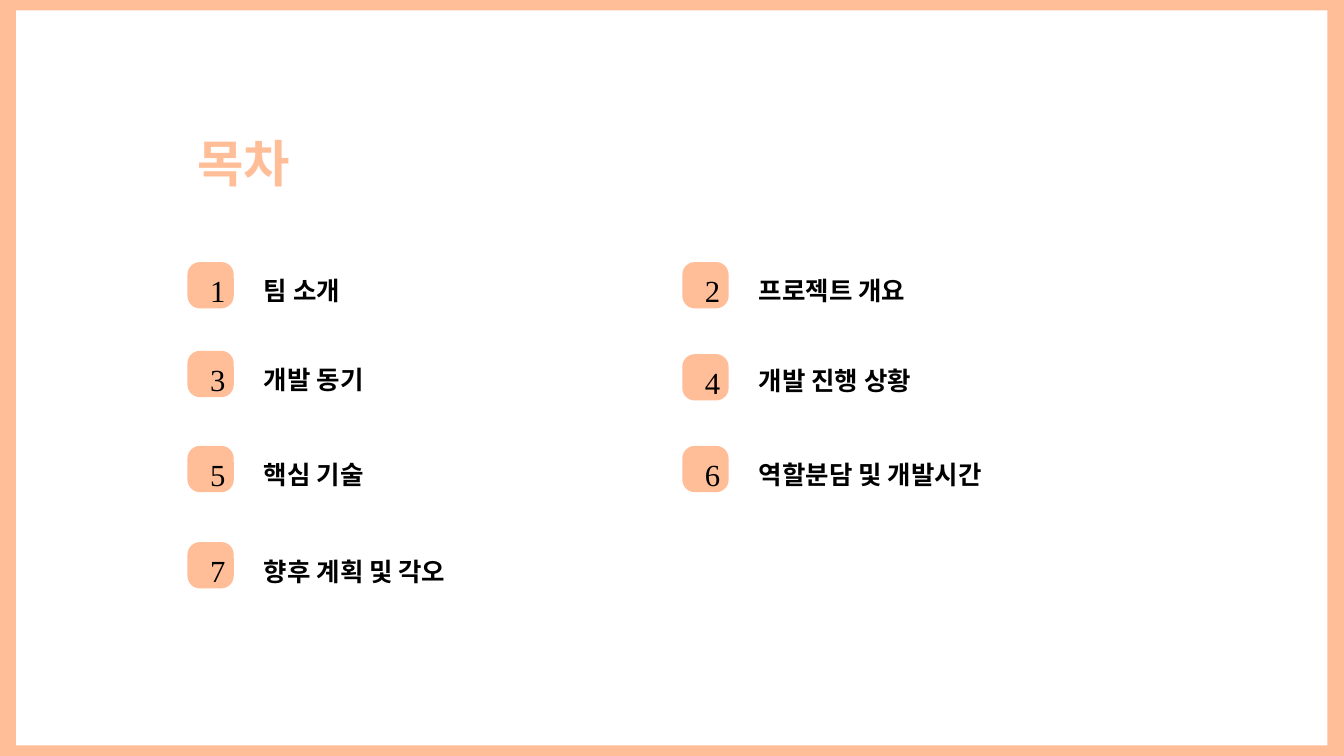
from pptx import Presentation
from pptx.dml.color import RGBColor
from pptx.enum.shapes import MSO_SHAPE
from pptx.enum.text import MSO_ANCHOR, PP_ALIGN
from pptx.util import Pt

PEACH = RGBColor(0xFF, 0xBE, 0x98)
WHITE = RGBColor(0xFF, 0xFF, 0xFF)
BLACK = RGBColor(0, 0, 0)
SANS = "Noto Sans CJK KR"
SERIF = "Times New Roman"

COLS = (133.9, 487.4)
SIDE = 33.1
ITEMS = [
    ("팀 소개", 187.2, 192.2),
    ("프로젝트 개요", 187.2, 192.2),
    ("개발 동기", 250.6, 255.6),
    ("개발 진행 상황", 253, 256.3),
    ("핵심 기술", 318.5, 323.3),
    ("역할분담 및 개발시간", 318.5, 323.3),
    ("향후 계획 및 각오", 387.2, 392.4),
]


def write(shape, text, size=18.2, face=SANS, color=BLACK, bold=True,
          line=22.8, align=PP_ALIGN.LEFT, top=3.6):
    frame = shape.text_frame
    frame.word_wrap = False
    frame.vertical_anchor = MSO_ANCHOR.TOP
    frame.margin_top = Pt(top)
    para = frame.paragraphs[0]
    para.alignment = align
    para.line_spacing = Pt(line)
    run = para.add_run()
    run.text = text
    font = run.font
    font.size, font.name, font.bold = Pt(size), face, bold
    font.color.rgb = color
    props = run._r.get_or_add_rPr()
    east = props.makeelement(props[-1].tag.replace("latin", "ea"), {"typeface": face})
    props.append(east)


class Deck:
    """Draw the contents slide in one peach style."""

    def __init__(self):
        self.file = Presentation()
        self.file.slide_width, self.file.slide_height = Pt(960), Pt(540)
        self.slide = self.file.slides.add_slide(self.file.slide_layouts[6])

    def block(self, x, y, w, h, fill, kind=MSO_SHAPE.RECTANGLE):
        shape = self.slide.shapes.add_shape(kind, Pt(x), Pt(y), Pt(w), Pt(h))
        shape.shadow.inherit = False
        shape.fill.solid()
        shape.fill.fore_color.rgb = fill
        shape.line.fill.background()
        return shape

    def label(self, x, y, w, h, text, **style):
        box = self.slide.shapes.add_textbox(Pt(x), Pt(y), Pt(w), Pt(h))
        write(box, text, **style)

    def entry(self, num, x, y, text, text_y):
        badge = self.block(x, y, SIDE, SIDE, PEACH, MSO_SHAPE.ROUNDED_RECTANGLE)
        badge.adjustments[0] = 0.27
        wide = 13.5
        self.label(x + (SIDE - wide) / 2, y + 2.4, wide, 27.3, str(num),
                   size=21.9, face=SERIF, bold=False, line=27.3,
                   align=PP_ALIGN.CENTER)
        self.label(x + 47.5, text_y, 182, 22.8, text)


def main():
    deck = Deck()
    deck.block(0, 0, 960, 540, PEACH)
    deck.block(11.6, 7.4, 936.6, 525, WHITE)
    title = deck.block(COLS[0], 85.7, 364.3, 45.6, WHITE)
    write(title, "목차", size=36, color=PEACH, line=45.6, top=6)
    for num, (text, y, text_y) in enumerate(ITEMS, 1):
        deck.entry(num, COLS[(num - 1) % 2], y, text, text_y)
    deck.file.save("out.pptx")


if __name__ == "__main__":
    main()
